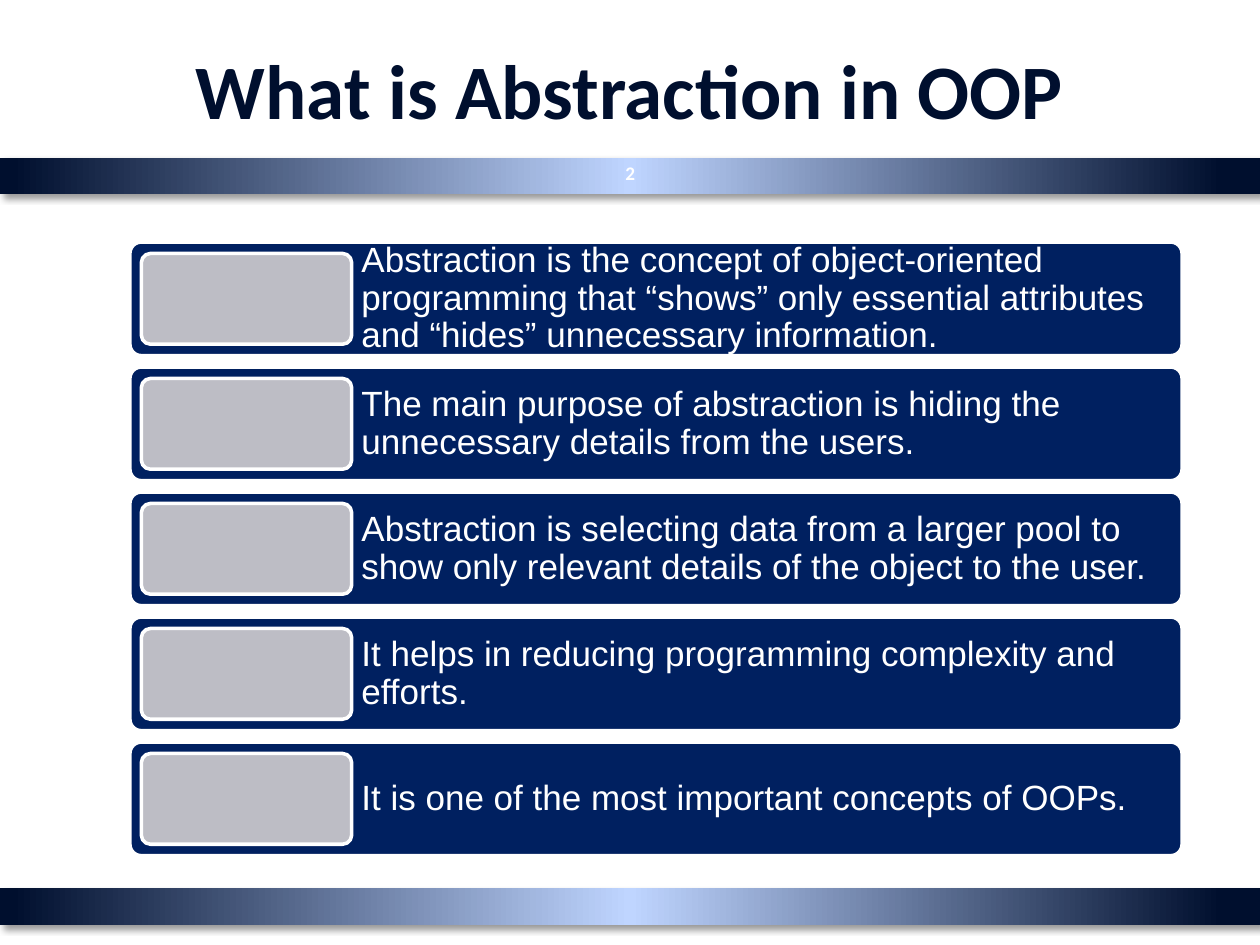
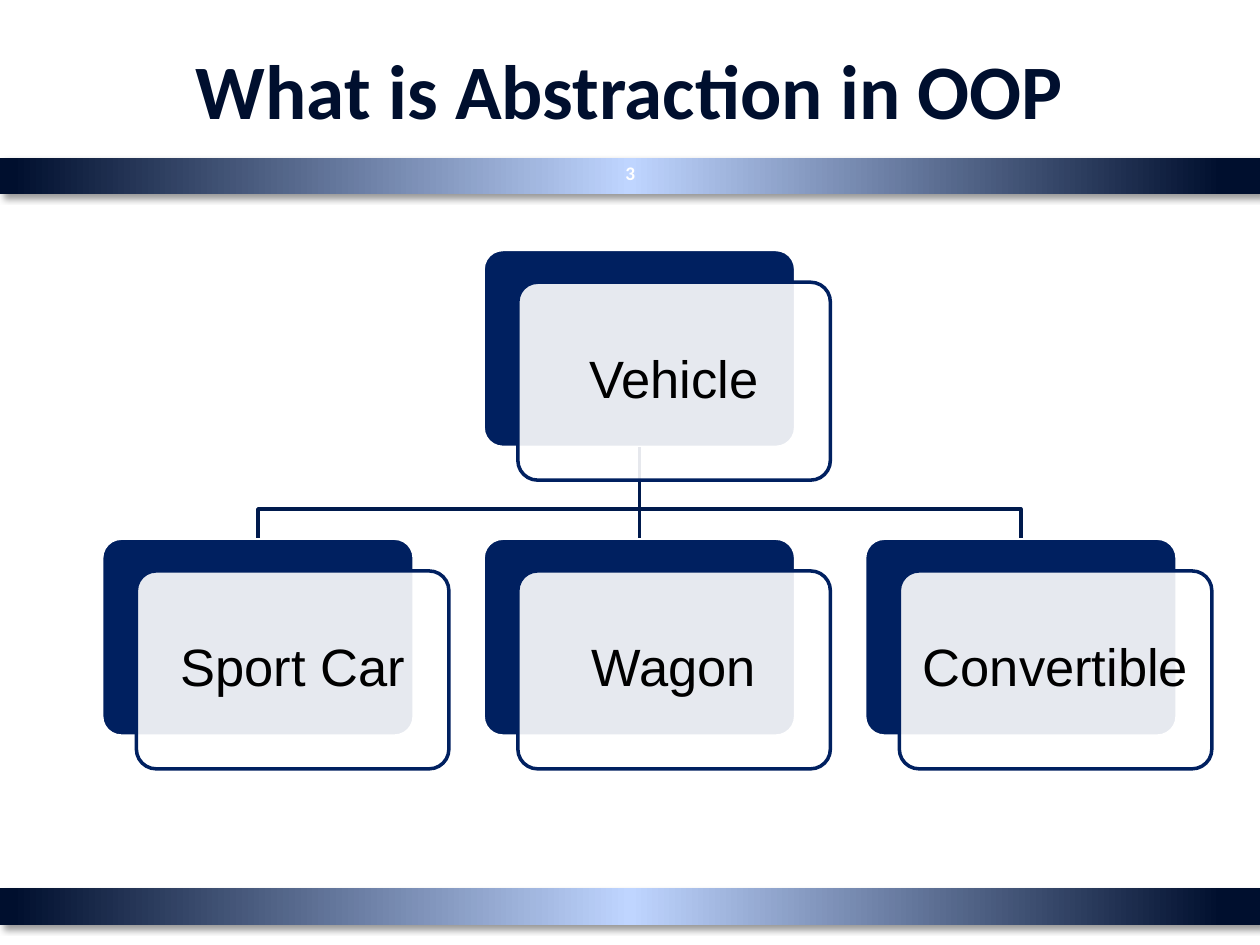
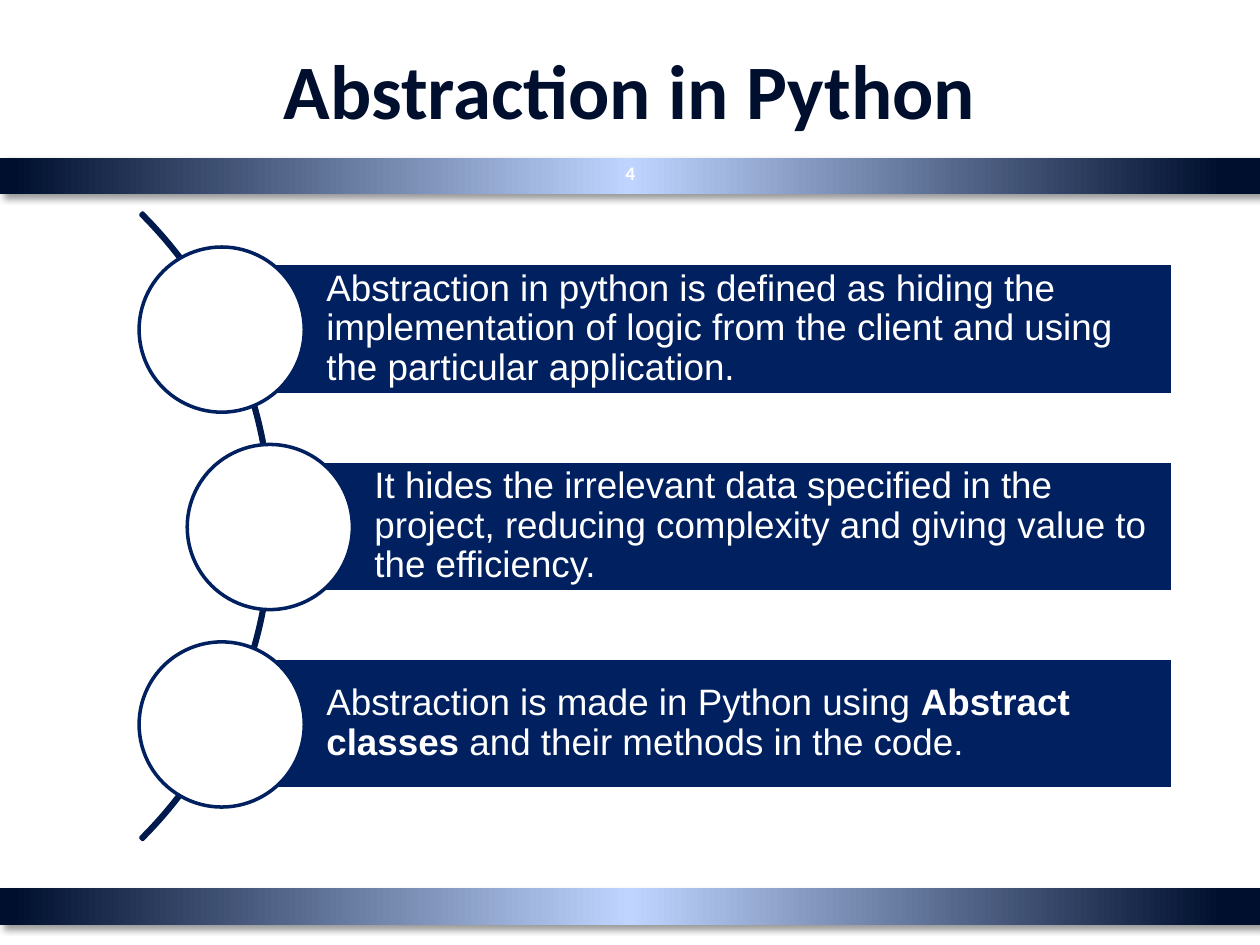
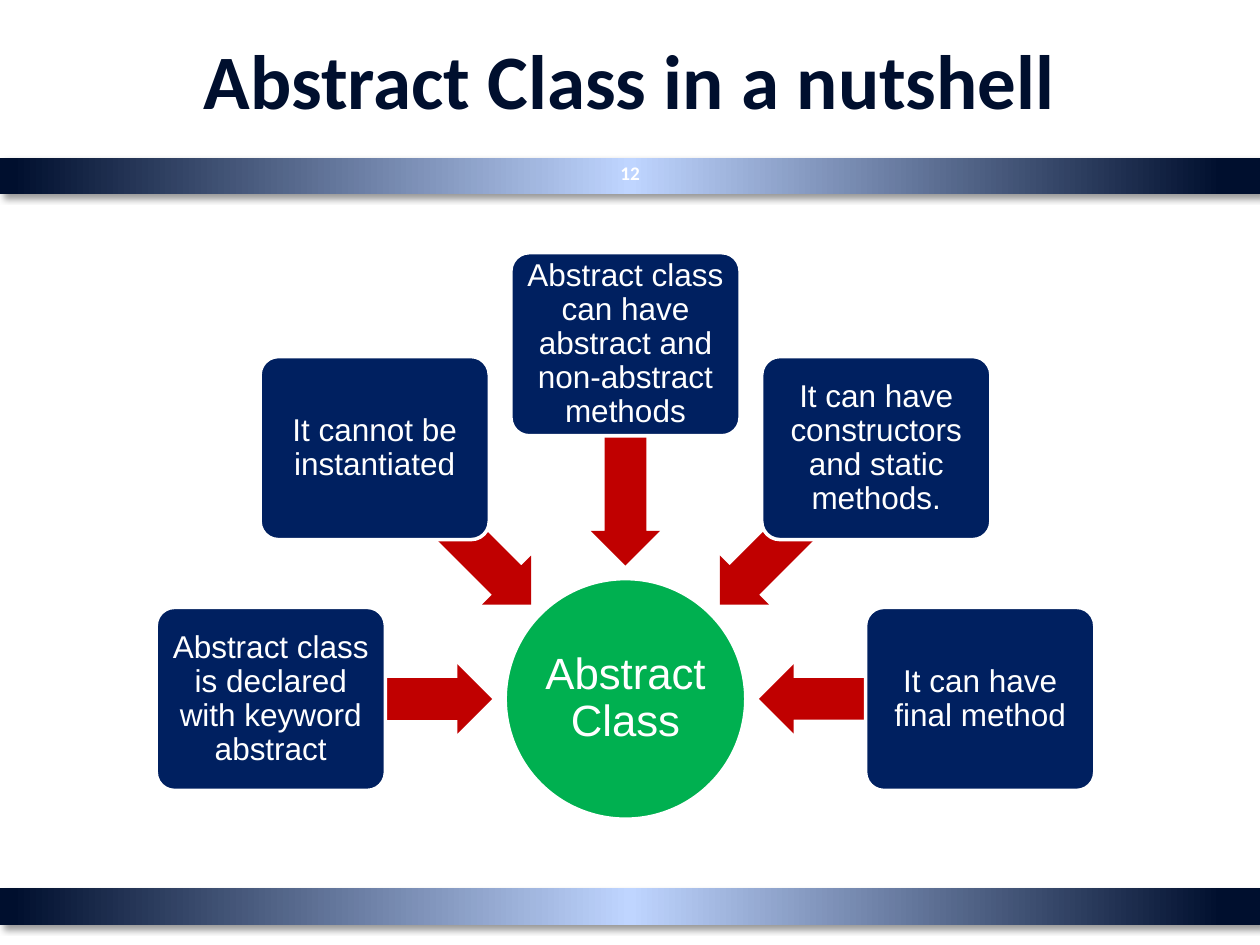
import dataclasses
import math
from typing import Any, NamedTuple, Optional

import lxml.etree
import pptx
import pptx.dml.color
import pptx.enum.shapes
import pptx.enum.text
import pptx.oxml
import pptx.oxml.ns
import pptx.shapes.autoshape
import pptx.slide
import pptx.util

Cm = pptx.util.Cm
RGBColor = pptx.dml.color.RGBColor
Shape = pptx.shapes.autoshape.Shape
Slide = pptx.slide.Slide
Preset = pptx.enum.shapes.MSO_SHAPE
Align = pptx.enum.text.PP_ALIGN

# Colours
MIDNIGHT = RGBColor(0x00, 0x0F, 0x2E)
SKY = RGBColor(0xBF, 0xD5, 0xFF)
NAVY = RGBColor(0x00, 0x20, 0x60)
DEEP_NAVY = RGBColor(0x00, 0x1A, 0x4D)
GREY = RGBColor(0xBD, 0xBD, 0xC5)
GREEN = RGBColor(0x00, 0xB0, 0x50)
RED = RGBColor(0xC0, 0x00, 0x00)
WHITE = RGBColor(0xFF, 0xFF, 0xFF)
BLACK = RGBColor(0x00, 0x00, 0x00)

# Page and shared measures, in centimetres
PAGE_WIDTH, PAGE_HEIGHT = 25.4, 19.05
BAND_TOPS = (17.91, 3.18)
BAND_HEIGHT = 0.74
BAND_STOPS = ((0, MIDNIGHT), (3, MIDNIGHT), (50, SKY), (99, MIDNIGHT), (100, MIDNIGHT))
LINE_WIDTH = 2
CORNER = 0.1


class Box(NamedTuple):
    left: float
    top: float
    width: float
    height: float

    def lengths(self) -> tuple:
        return tuple(Cm(value) for value in self)


class Run(NamedTuple):
    text: str
    bold: bool = False


@dataclasses.dataclass(frozen=True)
class TextStyle:
    size: float
    color: RGBColor
    inset: float
    inset_left: Optional[float] = None
    inset_y: Optional[float] = None
    font: str = "Arial"
    align: Align = Align.CENTER
    spacing: float = 0.9


@dataclasses.dataclass(frozen=True)
class Look:
    fill: Optional[RGBColor] = None
    line: Optional[RGBColor] = None
    opacity: int = 100
    adjustments: tuple = ()


TITLE = TextStyle(44, MIDNIGHT, 0.25, inset_y=0.13, font="Calibri", spacing=1)
PAGE_NUMBER = dataclasses.replace(TITLE, size=11, color=WHITE)
CONCEPT = TextStyle(20, WHITE, 0.14, inset_left=4.6, align=Align.LEFT)
VEHICLE = TextStyle(30, BLACK, 0.3)
STATEMENT = TextStyle(21, WHITE, 0.15, inset_left=2.11, align=Align.LEFT)
HUB = TextStyle(25, WHITE, 0.05)
FEATURE = TextStyle(18, WHITE, 0.1)

PANEL = Look(NAVY, WHITE, adjustments=(CORNER,))
TILE = Look(GREY, WHITE, adjustments=(CORNER,))
CARD = Look(WHITE, NAVY, 90, (CORNER,))
BAR = Look(NAVY, WHITE)
DISC = Look(WHITE, NAVY)


# Shared drawing helpers
def apply(target: Any, formats: dict) -> None:
    for name, value in formats.items():
        setattr(target, name, value)


def write_text(shape: Shape, runs: tuple, style: TextStyle) -> None:
    inset_left = style.inset if style.inset_left is None else style.inset_left
    inset_y = style.inset if style.inset_y is None else style.inset_y
    frame = shape.text_frame
    apply(frame, {
        "word_wrap": True,
        "vertical_anchor": pptx.enum.text.MSO_ANCHOR.MIDDLE,
        "margin_left": Cm(inset_left),
        "margin_right": Cm(style.inset),
        "margin_top": Cm(inset_y),
        "margin_bottom": Cm(inset_y),
    })
    paragraph = frame.paragraphs[0]
    apply(paragraph, {"alignment": style.align, "line_spacing": style.spacing})
    for part in runs:
        run = paragraph.add_run()
        run.text = part.text
        apply(run.font, {"name": style.font, "size": pptx.util.Pt(style.size), "bold": part.bold})
        run.font.color.rgb = style.color


def add_text(slide: Slide, box: Box, text: str, style: TextStyle) -> None:
    write_text(slide.shapes.add_textbox(*box.lengths()), (Run(text, True),), style)


def paint(shape: Shape, look: Look) -> None:
    shape.shadow.inherit = False
    if look.fill is None:
        shape.fill.background()
    else:
        shape.fill.solid()
        shape.fill.fore_color.rgb = look.fill
    if look.opacity < 100:
        color = shape._element.spPr.find(".//" + pptx.oxml.ns.qn("a:srgbClr"))
        alpha = lxml.etree.SubElement(color, pptx.oxml.ns.qn("a:alpha"))
        alpha.set("val", str(look.opacity * 1000))
    if look.line is None:
        shape.line.fill.background()
    else:
        shape.line.color.rgb = look.line
        shape.line.width = pptx.util.Pt(LINE_WIDTH)
    for index, value in enumerate(look.adjustments):
        shape.adjustments[index] = value


def add_shape(slide: Slide, preset: Preset, box: Box, look: Look) -> Shape:
    shape = slide.shapes.add_shape(preset, *box.lengths())
    paint(shape, look)
    return shape


def add_band(slide: Slide, top: float) -> None:
    band = add_shape(slide, Preset.RECTANGLE, Box(0, top, PAGE_WIDTH, BAND_HEIGHT), Look())
    band.fill.gradient()
    band.fill.gradient_angle = 180
    namespace = pptx.oxml.ns.nsdecls("a")
    properties = band._element.spPr
    stops = properties.find(".//" + pptx.oxml.ns.qn("a:gsLst"))
    for stop in list(stops):
        stops.remove(stop)
    for position, color in BAND_STOPS:
        stops.append(pptx.oxml.parse_xml(
            f'<a:gs {namespace} pos="{position * 1000}"><a:srgbClr val="{color}"/></a:gs>'))
    properties.find(pptx.oxml.ns.qn("a:effectLst")).append(pptx.oxml.parse_xml(
        f'<a:outerShdw {namespace} blurRad="50800" dist="38100" dir="2700000" algn="tl" '
        'rotWithShape="0"><a:srgbClr val="000000"><a:alpha val="40000"/></a:srgbClr>'
        '</a:outerShdw>'))


def start_slide(deck: Any, title: str, number: int, title_top: float = 0.2) -> Slide:
    slide = deck.slides.add_slide(deck.slide_layouts[6])
    for top in BAND_TOPS:
        add_band(slide, top)
    add_text(slide, Box(1.27, title_top, 22.86, 3.18), title, TITLE)
    add_text(slide, Box(12.17, 2.97, 1.07, 1.02), str(number), PAGE_NUMBER)
    return slide


# Concept list: stacked panels, each with a tile at its left
CONCEPTS = (
    "Abstraction is the concept of object-oriented programming that “shows” only "
    "essential attributes and “hides” unnecessary information.",
    "The main purpose of abstraction is hiding the unnecessary details from the users.",
    "Abstraction is selecting data from a larger pool to show only relevant details "
    "of the object to the user.",
    "It helps in reducing programming complexity and efforts.",
    "It is one of the most important concepts of OOPs.",
)


def draw_concepts(slide: Slide) -> None:
    left, first_top, pitch, gap = 2.62, 4.88, 2.52, 0.23
    for index, concept in enumerate(CONCEPTS):
        top = first_top + index * pitch
        panel = add_shape(slide, Preset.ROUNDED_RECTANGLE, Box(left, top, 21.21, 2.29), PANEL)
        write_text(panel, (Run(concept),), CONCEPT)
        add_shape(slide, Preset.ROUNDED_RECTANGLE,
                  Box(left + gap, top + gap, 4.24, 2.29 - 2 * gap), TILE)


# Vehicle tree: one parent above three children
class Vehicle(NamedTuple):
    name: str
    column: int
    level: int

    def box(self) -> Box:
        return Box(2.05 + 7.69 * self.column, 5.03 + 5.82 * self.level, 6.3, 3.99)


PARENT = Vehicle("Vehicle", 1, 0)
CHILDREN = (Vehicle("Sport Car", 0, 1), Vehicle("Wagon", 1, 1), Vehicle("Convertible", 2, 1))
BRANCH_Y = 10.26


def add_branch(slide: Slide, parent: Box, child: Box) -> None:
    start_x, end_x = (box.left + box.width / 2 for box in (parent, child))
    corners = ((start_x, BRANCH_Y), (end_x, BRANCH_Y), (end_x, child.top))
    builder = slide.shapes.build_freeform(Cm(start_x), Cm(parent.top + parent.height))
    builder.add_line_segments([(Cm(x), Cm(y)) for x, y in corners], close=False)
    paint(builder.convert_to_shape(), Look(line=DEEP_NAVY))


def add_stem(slide: Slide, parent: Shape, child: Shape) -> None:
    stem = slide.shapes.add_connector(pptx.enum.shapes.MSO_CONNECTOR.STRAIGHT, 0, 0, 0, 0)
    stem.begin_connect(parent, 2)
    stem.end_connect(child, 0)
    stem.line.color.rgb = DEEP_NAVY
    stem.line.width = pptx.util.Pt(LINE_WIDTH)
    lxml.etree.SubElement(stem._element.spPr, pptx.oxml.ns.qn("a:effectLst"))


def draw_vehicles(slide: Slide) -> None:
    vehicles = (PARENT, *CHILDREN)
    backs = {vehicle: add_shape(slide, Preset.ROUNDED_RECTANGLE, vehicle.box(), PANEL)
             for vehicle in vehicles}
    for child in CHILDREN:
        if child.column == PARENT.column:
            add_stem(slide, backs[PARENT], backs[child])
        else:
            add_branch(slide, PARENT.box(), child.box())
    for vehicle in vehicles:
        back = vehicle.box()
        front = back._replace(left=back.left + 0.7, top=back.top + 0.66)
        card = add_shape(slide, Preset.ROUNDED_RECTANGLE, front, CARD)
        write_text(card, (Run(vehicle.name),), VEHICLE)


# Python statements: bars and discs along an arc
class Statement(NamedTuple):
    indent: float
    runs: tuple


STATEMENTS = (
    Statement(0, (Run("Abstraction in python is defined as hiding the implementation of logic "
                      "from the client and using the particular application."),)),
    Statement(0.97, (Run("It hides the irrelevant data specified in the project, reducing "
                         "complexity and giving value to the efficiency."),)),
    Statement(0, (Run("Abstraction is made in Python using "),
                  Run("Abstract classes", True),
                  Run(" and their methods in the code."))),
)


def draw_statements(slide: Slide) -> None:
    first_left, right, first_top, pitch = 4.47, 23.65, 5.31, 3.98
    disc_size = 3.33
    add_shape(slide, Preset.BLOCK_ARC, Box(-12.37, 1.68, 17.86, 17.86),
              Look(line=DEEP_NAVY, adjustments=(189, 27, 0.003)))
    for index, statement in enumerate(STATEMENTS):
        left, top = first_left + statement.indent, first_top + index * pitch
        bar = add_shape(slide, Preset.RECTANGLE, Box(left, top, right - left, 2.64), BAR)
        write_text(bar, statement.runs, STATEMENT)
        add_shape(slide, Preset.OVAL,
                  Box(left - disc_size / 2, top - 0.33, disc_size, disc_size), DISC)


# Abstract class features: boxes on a half circle pointing at the hub
FEATURES = (
    "Abstract class is declared with keyword abstract",
    "It cannot be instantiated",
    "Abstract class can have abstract and non-abstract methods",
    "It can have constructors and static methods.",
    "It can have final method",
)
HUB_X, HUB_Y = 12.61, 14.09


def around_hub(angle: float, radius: float, width: float, height: float) -> Box:
    x = HUB_X + radius * math.cos(math.radians(angle))
    y = HUB_Y + radius * math.sin(math.radians(angle))
    return Box(x - width / 2, y - height / 2, width, height)


def draw_features(slide: Slide) -> None:
    hub = add_shape(slide, Preset.OVAL, around_hub(0, 0, 4.85, 4.85), Look(GREEN, WHITE))
    write_text(hub, (Run("Abstract Class"),), HUB)
    for index, feature in enumerate(FEATURES):
        angle = 180 + index * 180 / (len(FEATURES) - 1)
        arrow = add_shape(slide, Preset.LEFT_ARROW, around_hub(angle, 4.92, 4.46, 1.4),
                          Look(RED, adjustments=(0.6, 0.5)))
        arrow.rotation = angle % 360
        panel = add_shape(slide, Preset.ROUNDED_RECTANGLE,
                          around_hub(angle, 7.15, 4.62, 3.69), PANEL)
        write_text(panel, (Run(feature),), FEATURE)


def main() -> None:
    deck = pptx.Presentation()
    apply(deck, {"slide_width": Cm(PAGE_WIDTH), "slide_height": Cm(PAGE_HEIGHT)})
    draw_concepts(start_slide(deck, "What is Abstraction in OOP", 2))
    draw_vehicles(start_slide(deck, "What is Abstraction in OOP", 3))
    draw_statements(start_slide(deck, "Abstraction in Python", 4))
    draw_features(start_slide(deck, "Abstract Class in a nutshell", 12, title_top=0))
    deck.save("out.pptx")


if __name__ == "__main__":
    main()
